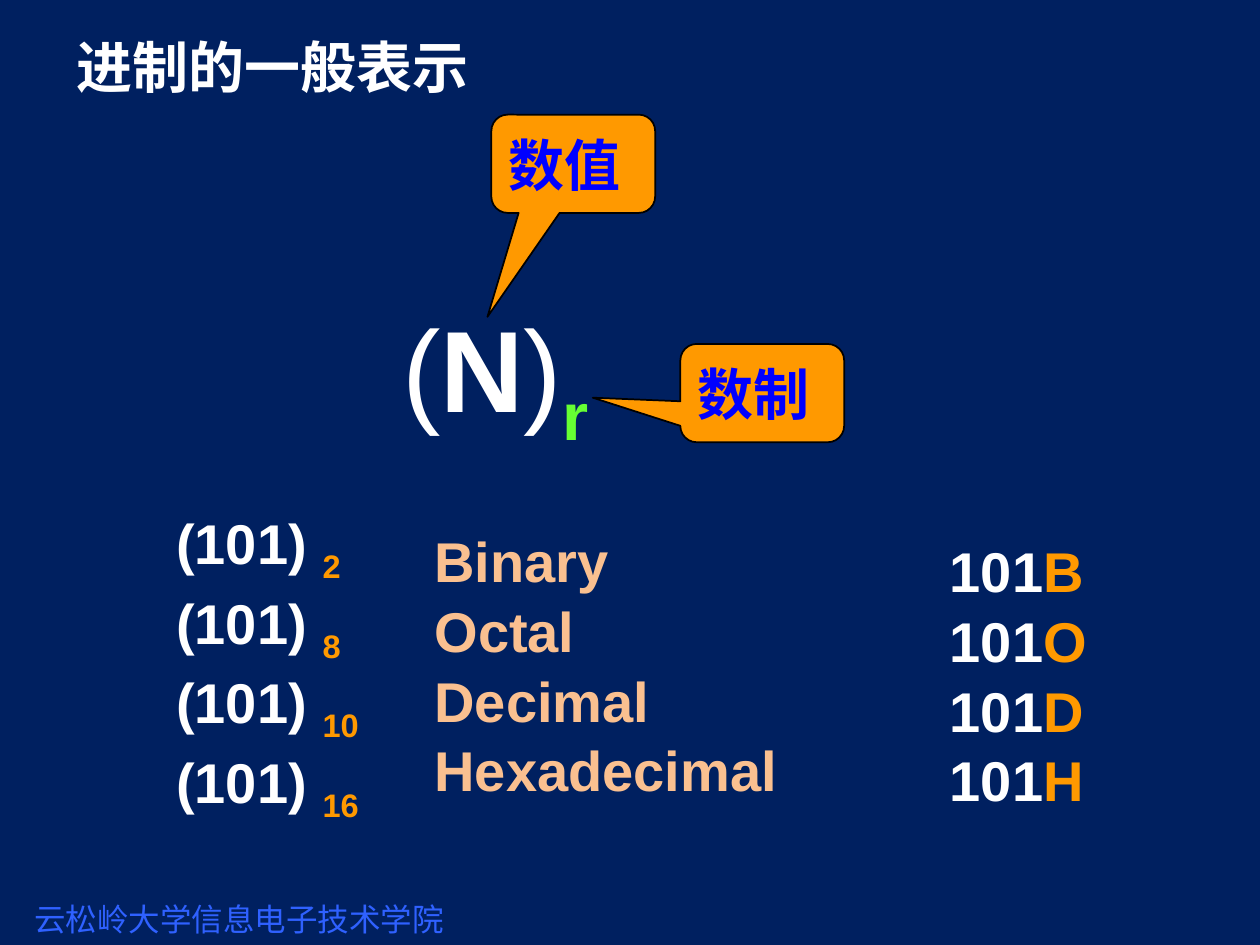
import pptx
import pptx.util
import pptx.dml.color
import pptx.enum.shapes
import pptx.enum.text

Inches = pptx.util.Inches
SHAPES = pptx.enum.shapes.MSO_SHAPE
COLORS = {
    "background": "002060", "white": "FFFFFF", "footer": "2F61FF",
    "orange": "FF9900", "peach": "FAC090", "green": "66FF33",
    "blue": "0000FF", "black": "000000",
}

BODY = {"size": 32, "name": "Arial", "bold": True, "color": "white"}
TITLE = {**BODY, "name": "Times New Roman"}
FOOTER = {"size": 18, "name": "Noto Sans CJK SC", "bold": False, "color": "footer"}
CALLOUT = {**BODY, "color": "blue"}
ORANGE = {**BODY, "color": "orange"}
BASE = {**ORANGE, "subscript": True}
PEACH = {**BODY, "color": "peach"}
BRACKET = {**BODY, "size": 66, "bold": False}
NUMBER = {**BRACKET, "bold": True}
RADIX = {**NUMBER, "color": "green", "subscript": True}

SYSTEMS = [
    ("2", "Binary", "B"),
    ("8", "Octal", "O"),
    ("10", "Decimal", "D"),
    ("16", "Hexadecimal", "H"),
]
TEXT_BOXES = [
    ((0.27, 7.14, 3.65, 0.3), (0, 0, 0, 0), 1, [[("云松岭大学信息电子技术学院", FOOTER)]]),
    ((0.51, 0.21, 9, 0.63), (0.1, 0.05, 0.1, 0.05), 1, [[("进制的一般表示", TITLE)]]),
]
COLUMNS = [
    ((1.3, 4.01, 2.17, 2.58), [[("(101) ", BODY), (base, BASE)] for base, _, _ in SYSTEMS]),
    ((3.35, 4.15, 3.67, 2.28), [[(name, PEACH)] for _, name, _ in SYSTEMS]),
    ((7.44, 4.23, 1.67, 2.28), [[("101", BODY), (suffix, ORANGE)] for _, _, suffix in SYSTEMS]),
]
TEXT_BOXES += [(place, (0.1, 0.05, 0.1, 0.1), 1.045, lines) for place, lines in COLUMNS]
NOTATION = [("(", BRACKET), ("N", NUMBER), (")", BRACKET), ("r", RADIX)]
CALLOUTS = [
    ("数值", (3.9, 0.91), (-0.524, 1.558, 0.167)),
    ("数制", (5.4, 2.73), (-1.035, 0.047, 0.167)),
]


def rgb(name):
    return pptx.dml.color.RGBColor.from_string(COLORS[name])


def write_text(shape, lines, insets=(0.1, 0.05, 0.1, 0.05), spacing=1):
    frame = shape.text_frame
    frame_format = {"word_wrap": True, "vertical_anchor": pptx.enum.text.MSO_ANCHOR.MIDDLE}
    for side, inset in zip(("left", "top", "right", "bottom"), insets):
        frame_format["margin_" + side] = Inches(inset)
    for attribute, value in frame_format.items():
        setattr(frame, attribute, value)
    for index, line in enumerate(lines):
        paragraph = frame.add_paragraph() if index else frame.paragraphs[0]
        paragraph.alignment = pptx.enum.text.PP_ALIGN.LEFT
        if spacing != 1:
            paragraph.line_spacing = spacing
        for text, style in line:
            run = paragraph.add_run()
            run.text = text
            font_format = {
                "size": pptx.util.Pt(style["size"]),
                "name": style["name"],
                "bold": style["bold"],
            }
            for attribute, value in font_format.items():
                setattr(run.font, attribute, value)
            run.font.color.rgb = rgb(style["color"])
            if style.get("subscript"):
                run._r.get_or_add_rPr().set("baseline", "-25000")


def add_shape(slide, kind, place):
    shape = slide.shapes.add_shape(kind, *map(Inches, place))
    shape.shadow.inherit = False
    return shape


def main():
    presentation = pptx.Presentation()
    presentation.slide_width = Inches(10)
    presentation.slide_height = Inches(7.5)
    slide = presentation.slides.add_slide(presentation.slide_layouts[6])
    slide.background.fill.solid()
    slide.background.fill.fore_color.rgb = rgb("background")

    for place, insets, spacing, lines in TEXT_BOXES:
        text_box = slide.shapes.add_textbox(*map(Inches, place))
        write_text(text_box, lines, insets, spacing)

    ellipse = add_shape(slide, SHAPES.OVAL, (2.72, 2.02, 2.55, 1.92))
    ellipse.fill.background()
    ellipse.line.fill.background()
    write_text(ellipse, [NOTATION])

    for text, corner, adjustments in CALLOUTS:
        callout = add_shape(slide, SHAPES.ROUNDED_RECTANGULAR_CALLOUT, (*corner, 1.3, 0.78))
        for index, value in enumerate(adjustments):
            callout.adjustments[index] = value
        callout.fill.solid()
        callout.fill.fore_color.rgb = rgb("orange")
        callout.line.color.rgb = rgb("black")
        callout.line.width = pptx.util.Pt(1)
        write_text(callout, [[(text, CALLOUT)]])

    presentation.save("out.pptx")


if __name__ == "__main__":
    main()
